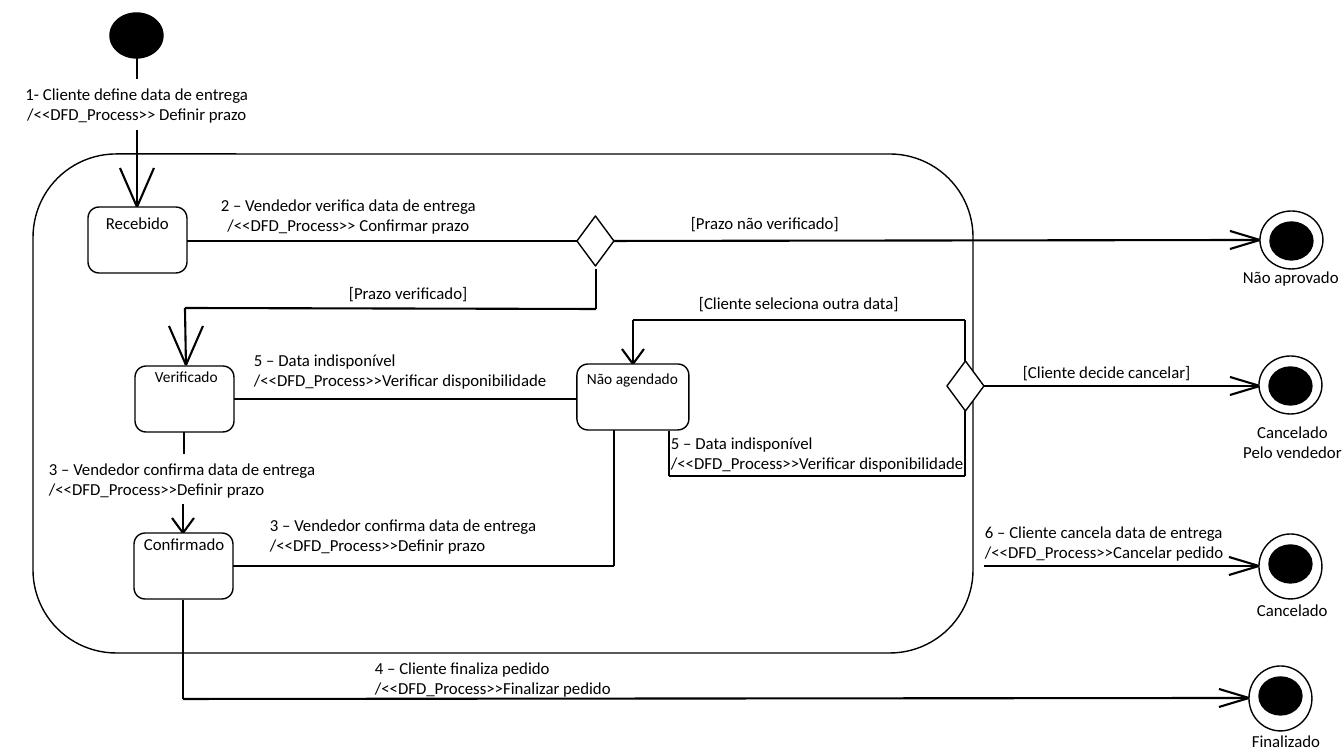
from itertools import pairwise
from lxml import etree
from pptx import Presentation
from pptx.dml.color import RGBColor
from pptx.enum import shapes, text
from pptx.oxml import ns
from pptx.util import Pt

# Content: all lengths in pixels
PROC = "/<<DFD_Process>>"
CONFIRM = ["3 – Vendedor confirma data de entrega", PROC + "Definir prazo"]
MISSING = ["5 – Data indisponível", PROC + "Verificar disponibilidade"]

FRAME = (33, 154, 940, 499)
START = (110, 13, 53, 45)
STATES = [(88, 207, 99, 66), (135, 366, 99, 66), (134, 533, 99, 66), (577, 364, 112, 66)]
FORKS = [(577, 216), (947, 361)]
ENDS = [(1260, 211, 58), (1259, 356, 58), (1259, 534, 65), (1249, 666, 65)]  # left, top, height

# Head: length and half spread of its two arms, or None
LONG, SHORT, SIDE = (39, 17), (15, 11), (30, 9)
FLOWS = [
    ([(137, 58), (137, 79)], None),
    ([(137, 130), (137, 207)], LONG),
    ([(187, 241), (577, 241)], None),
    ([(614, 241), (1260, 240)], SIDE),
    ([(596, 269), (596, 309), (185, 308), (186, 365)], LONG),
    ([(234, 399), (577, 399)], None),
    ([(184, 432), (184, 454)], None),
    ([(183, 504), (183, 533)], SHORT),
    ([(614, 430), (614, 566), (233, 566)], None),
    ([(669, 431), (669, 476), (965, 476), (965, 411)], None),
    ([(965, 361), (965, 320), (633, 320), (633, 364)], SHORT),
    ([(984, 386), (1260, 386)], SIDE),
    ([(984, 566), (1259, 566)], SIDE),
    ([(183, 600), (183, 699), (1249, 698)], SIDE),
]

# Left, top, width, lines
CENTRED = [
    (12, 79, 250, ["1- Cliente define data de entrega", PROC + " Definir prazo"]),
    (189, 190, 319, ["2 – Vendedor verifica data de entrega", PROC + " Confirmar prazo"]),
    (1223, 417, 139, ["Cancelado", "Pelo vendedor"]),
]
LABELS = [
    (96, 208, 91, ["Recebido"]),
    (134, 529, 115, ["Confirmado"]),
    (1233, 262, 120, ["Não aprovado"]),
    (1247, 595, 120, ["Cancelado"]),
    (1242, 726, 120, ["Finalizado"]),
    (339, 278, 184, ["[Prazo verificado]"]),
    (681, 208, 230, ["[Prazo não verificado]"]),
    (689, 288, 230, ["[Cliente seleciona outra data]"]),
    (1013, 357, 195, ["[Cliente decide cancelar]"]),
    (244, 345, 318, MISSING),
    (661, 428, 318, MISSING),
    (39, 454, 289, CONFIRM),
    (260, 510, 289, CONFIRM),
    (365, 653, 337, ["4 – Cliente finaliza pedido", PROC + "Finalizar pedido"]),
    (975, 517, 261, ["6 – Cliente cancela data de entrega", PROC + "Cancelar pedido"]),
]
SMALL = [(145, 362, 100, ["Verificado"]), (577, 364, 113, ["Não agendado"])]


class Theme:
    ink = RGBColor(0, 0, 0)
    paper = RGBColor(255, 255, 255)
    font = "Calibri"
    body, small = Pt(12), Pt(11)
    edge, flow = Pt(1), Pt(1.5)


SCALE = 914400 / 100.8


def px(*nums):
    return [round(n * SCALE) for n in nums]


deck = Presentation()
deck.slide_width, deck.slide_height = px(1344, 756)
slide = deck.slides.add_slide(deck.slide_layouts[6])
KIND = shapes.MSO_SHAPE


def node(kind, box, fill=Theme.paper):
    shape = slide.shapes.add_shape(kind, *px(*box))
    shape.shadow.inherit = False
    shape.fill.solid()
    shape.fill.fore_color.rgb = fill
    shape.line.color.rgb = Theme.ink
    shape.line.width = Theme.edge


def line(start, end):
    wire = slide.shapes.add_connector(shapes.MSO_CONNECTOR.STRAIGHT, *px(*start, *end))
    wire.line.color.rgb = Theme.ink
    wire.line.width = Theme.flow
    etree.SubElement(wire._element.spPr, ns.qn("a:effectLst"))


def flow(points, head):
    for start, end in pairwise(points):
        line(start, end)
    if head:
        size, half = head
        x, y = points[-1]
        across = abs(x - points[-2][0]) > abs(y - points[-2][1])
        for side in (-half, half):
            line((x - size, y + side) if across else (x + side, y - size), (x, y))


def label(left, top, width, lines, size=Theme.body, align=text.PP_ALIGN.LEFT):
    box = slide.shapes.add_textbox(*px(left, top, width, 10 + 20 * len(lines)))
    frame = box.text_frame
    frame.word_wrap = True
    frame.text = "\n".join(lines)
    for para in frame.paragraphs:
        para.alignment = align
        para.font.name, para.font.size = Theme.font, size
        para.font.color.rgb = Theme.ink


# Frame, start and flows
node(KIND.ROUNDED_RECTANGLE, FRAME)
node(KIND.OVAL, START, Theme.ink)
for points, head in FLOWS:
    flow(points, head)

# States, decisions and end points
for box in STATES:
    node(KIND.ROUNDED_RECTANGLE, box)
for left, top in FORKS:
    node(KIND.DIAMOND, (left, top, 37, 50))
for left, top, high in ENDS:
    node(KIND.OVAL, (left, top, 63, high))
    node(KIND.OVAL, (left + 10, top + 11, 43, 38), Theme.ink)

# Labels
for item in CENTRED:
    label(*item, align=text.PP_ALIGN.CENTER)
for item in LABELS:
    label(*item)
for item in SMALL:
    label(*item, size=Theme.small)

deck.save("out.pptx")
